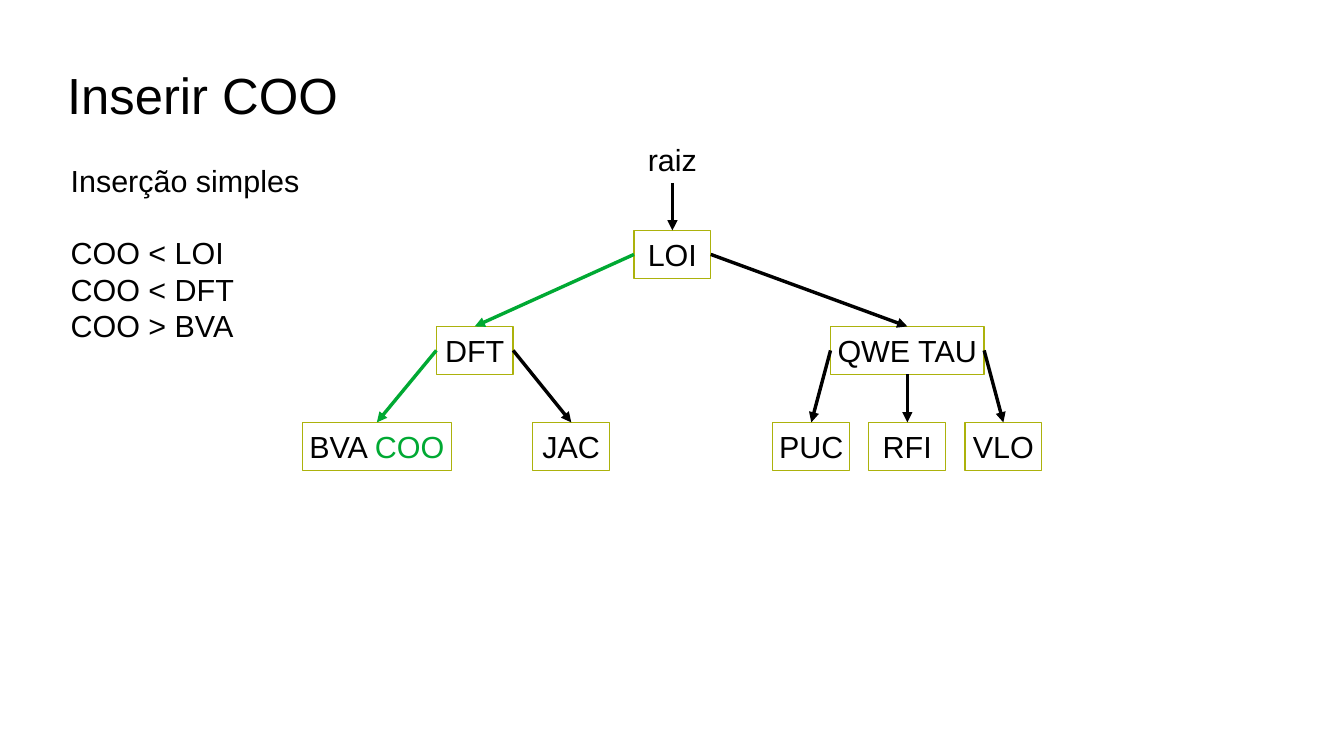
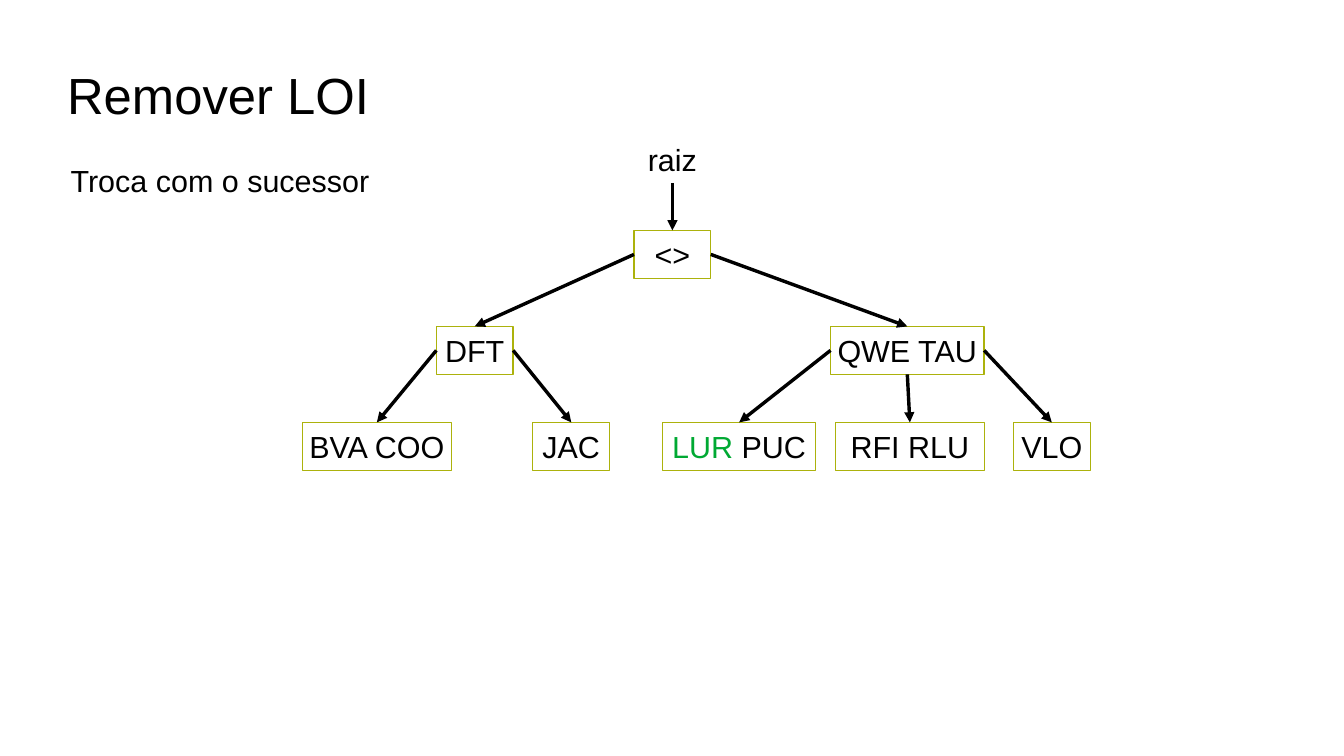
from lxml import etree
from pptx import Presentation
from pptx.dml.color import RGBColor
from pptx.enum.shapes import MSO_CONNECTOR, MSO_SHAPE
from pptx.enum.text import MSO_ANCHOR, PP_ALIGN
from pptx.oxml.ns import qn
from pptx.util import Pt

STRAIGHT, RECTANGLE = MSO_CONNECTOR.STRAIGHT, MSO_SHAPE.RECTANGLE
TOP_ANCHOR, MIDDLE = MSO_ANCHOR.TOP, MSO_ANCHOR.MIDDLE
LEFT_ALIGN, CENTER = PP_ALIGN.LEFT, PP_ALIGN.CENTER
TOP, LEFT, BOTTOM, RIGHT = range(4)  # connection sites of a rectangle

# Shared style, lengths in points
FONT = "Arial"
BLACK, WHITE, GREEN, OLIVE = "000000", "FFFFFF", "00A933", "ACB20C"
SLIDE_WIDTH, SLIDE_HEIGHT = 793.5, 446.5
TITLE_SIZE, BODY_SIZE = 30, 18
TITLE_AREA = (39.6, 18, 714.3, 74.9)
NOTES_AREA = (34.6, 92.2, 203, 108)
LABEL_AREA = (375.4, 80.6, 43.2, 27.4)
NOTES_GAP = 21
FIRST_ROW, ROW_PITCH, NODE_HEIGHT = 136.1, 56.7, 28.35
ONE_KEY, TWO_KEYS, TWO_NARROW_KEYS = 45.35, 90.7, 87.85

# Content: the note groups are set apart; "new" is the key shown in green,
# "trail" holds the nodes reached by green arrows.
# Nodes: keys, centre, width, parent, side of the parent the arrow leaves
ROOT_CENTER = 397
LEFT_LEAVES = [
    ("BVA COO", 222.5, TWO_NARROW_KEYS, "DFT", LEFT),
    ("JAC", 337.3, ONE_KEY, "DFT", RIGHT),
]
SLIDES = [
    {
        "title": "Inserir COO",
        "notes": [["Inserção simples"], ["COO < LOI", "COO < DFT", "COO > BVA"]],
        "root": "LOI",
        "new": "COO",
        "trail": {"DFT", "BVA COO"},
        "right_leaves": [
            ("PUC", 479, ONE_KEY, "QWE TAU", LEFT),
            ("RFI", 535.7, ONE_KEY, "QWE TAU", BOTTOM),
            ("VLO", 592.4, ONE_KEY, "QWE TAU", RIGHT),
        ],
    },
    {
        "title": "Remover LOI",
        "notes": [["Troca com o sucessor"]],
        "root": "<>",
        "new": "LUR",
        "trail": set(),
        "right_leaves": [
            ("LUR PUC", 436.4, TWO_KEYS, "QWE TAU", LEFT),
            ("RFI RLU", 537.2, TWO_NARROW_KEYS, "QWE TAU", BOTTOM),
            ("VLO", 621, ONE_KEY, "QWE TAU", RIGHT),
        ],
    },
]


def color(value):
    return RGBColor.from_string(value)


def set_values(target, values):
    for name, value in values.items():
        setattr(target, name, value)


def add_span(para, text, size=BODY_SIZE, ink=BLACK):
    span = para.add_run()
    span.text = text
    set_values(span.font, {"name": FONT, "size": Pt(size)})
    span.font.color.rgb = color(ink)


def set_frame(box, anchor, wrap, inset=(7.2, 3.6)):
    side, end = map(Pt, inset)
    set_values(box.text_frame, {
        "vertical_anchor": anchor, "word_wrap": wrap,
        "margin_left": side, "margin_right": side,
        "margin_top": end, "margin_bottom": end,
    })


def add_text(page, area, groups, size=BODY_SIZE, align=LEFT_ALIGN,
             anchor=TOP_ANCHOR, wrap=True, inset=(7.2, 3.6)):
    box = page.shapes.add_textbox(*map(Pt, area))
    set_frame(box, anchor, wrap, inset)
    para = box.text_frame.paragraphs[0]
    for group_index, group in enumerate(groups):
        for line_index, line in enumerate(group):
            if group_index or line_index:
                para = box.text_frame.add_paragraph()
            if group_index and not line_index:
                para.space_before = Pt(NOTES_GAP)
            para.alignment = align
            add_span(para, line, size)
    return box


def add_node(page, keys, row, center, width, new):
    area = (center - width / 2, FIRST_ROW + row * ROW_PITCH, width, NODE_HEIGHT)
    box = page.shapes.add_shape(RECTANGLE, *map(Pt, area))
    box.shadow.inherit = False
    box.fill.solid()
    box.fill.fore_color.rgb = color(WHITE)
    box.line.color.rgb = color(OLIVE)
    box.line.width = Pt(0)
    set_frame(box, MIDDLE, False)
    para = box.text_frame.paragraphs[0]
    para.alignment = CENTER
    words = keys.split()
    for index, word in enumerate(words):
        gap = " " if index < len(words) - 1 else ""
        add_span(para, word + gap, ink=GREEN if word == new else BLACK)
    return box


def add_arrow(page, start, side, end, ink=BLACK):
    arrow = page.shapes.add_connector(STRAIGHT, 0, 0, 0, 0)
    arrow.begin_connect(start, side)
    arrow.end_connect(end, TOP)
    arrow.line.color.rgb = color(ink)
    arrow.line.width = Pt(0)
    etree.SubElement(arrow.line._get_or_add_ln(), qn("a:tailEnd"), type="triangle")
    etree.SubElement(arrow._element.spPr, qn("a:effectLst"))


def add_tree(page, content):
    root = content["root"]
    rows = [
        [(root, ROOT_CENTER, ONE_KEY, "raiz", BOTTOM)],
        [("DFT", 280.3, ONE_KEY, root, LEFT),
         ("QWE TAU", 535.7, TWO_KEYS, root, RIGHT)],
        LEFT_LEAVES + content["right_leaves"],
    ]
    label = add_text(page, LABEL_AREA, [["raiz"]], align=CENTER,
                     anchor=MIDDLE, wrap=False)
    boxes = {"raiz": label}
    for row, nodes in enumerate(rows):
        for keys, center, width, parent, side in nodes:
            boxes[keys] = add_node(page, keys, row, center, width, content["new"])
            ink = GREEN if keys in content["trail"] else BLACK
            add_arrow(page, boxes[parent], side, boxes[keys], ink)


def main():
    deck = Presentation()
    deck.slide_width, deck.slide_height = Pt(SLIDE_WIDTH), Pt(SLIDE_HEIGHT)
    for content in SLIDES:
        page = deck.slides.add_slide(deck.slide_layouts[6])
        add_text(page, TITLE_AREA, [[content["title"]]], TITLE_SIZE,
                 anchor=MIDDLE, inset=(0, 0))
        add_text(page, NOTES_AREA, content["notes"])
        add_tree(page, content)
    deck.save("out.pptx")


if __name__ == "__main__":
    main()
